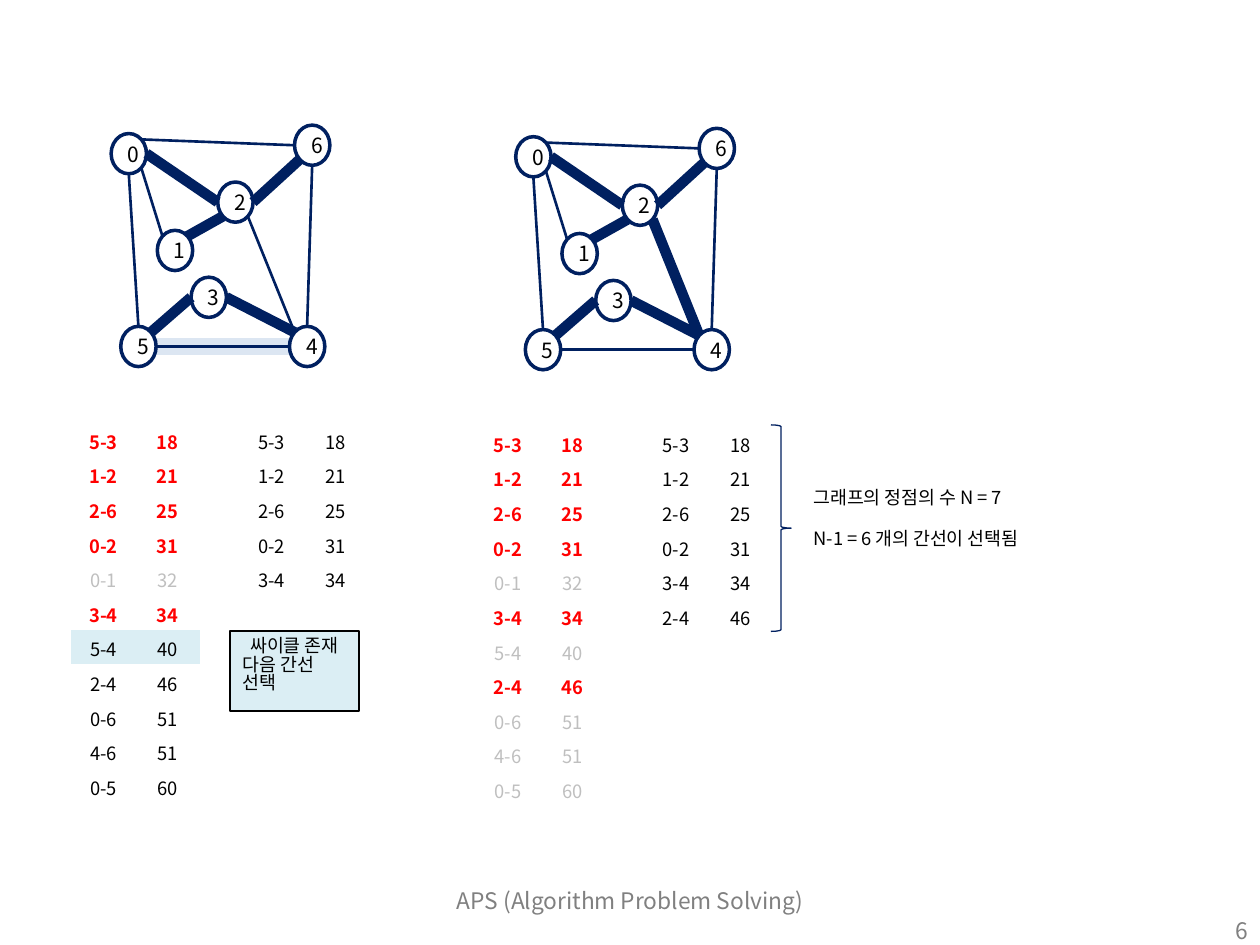
from math import cos, radians, sin

from lxml.etree import SubElement
from pptx import Presentation
from pptx.dml.color import RGBColor as Rgb
from pptx.enum.shapes import MSO_CONNECTOR as Connector, MSO_SHAPE as Shape
from pptx.enum.text import MSO_ANCHOR as Anchor, PP_ALIGN as Align
from pptx.oxml.ns import qn
from pptx.util import Pt

COLORS = {
    "ink": "000000", "navy": "002060", "white": "FFFFFF", "red": "FF0000",
    "spent": "BFBFBF", "footer": "808080", "pale": "DCE6F2", "focus": "DBEEF4",
}
FONT = "Noto Sans CJK KR"
PLAIN_TABLE = "{2D5ABB26-0587-4C30-8999-92F81FD0307C}"
NODE_W, NODE_H = 20.2, 23
ROW_H, COL_W = 19.8, 36.7
ANGLES = {"r": 0, "br": 45, "b": 90, "bl": 135, "l": 180, "tl": 225, "t": 270, "tr": 315}
NODES = {
    "5": (69, 186.5), "6": (168.3, 71.5), "4": (165.4, 186.5), "0": (63.5, 76.3),
    "1": (89.9, 131.6), "2": (124.4, 104), "3": (109.2, 158.4),
}
EDGES = {
    "0-1": ("br", "tl"), "0-2": ("r", "l"), "0-6": ("tr", "l"), "5-3": ("tr", "l"),
    "4-6": ("t", "b"), "0-5": ("b", "t"), "5-4": ("r", "l"), "3-4": ("r", "tl"),
    "1-2": ("tr", "bl"), "2-4": ("br", "tl"), "2-6": ("r", "bl"),
}
WEIGHTS = {
    "5-3": 18, "1-2": 21, "2-6": 25, "0-2": 31, "0-1": 32, "3-4": 34,
    "5-4": 40, "2-4": 46, "0-6": 51, "4-6": 51, "0-5": 60,
}
FIRST_CHOICES = ["5-3", "1-2", "2-6", "0-2", "3-4"]
ALL_CHOICES = FIRST_CHOICES + ["2-4"]


class KruskalSlide:
    """Draws graphs, edge lists and notes on one slide in a shared style."""

    def __init__(self, slide):
        self.slide = slide
        self.shapes = slide.shapes

    def color(self, name):
        return Rgb.from_string(COLORS[name])

    def add_words(self, paragraph, words, size=10.5, color="ink", bold=False, align=Align.CENTER):
        paragraph.alignment = align
        run = paragraph.add_run()
        run.text = words
        run.font.size = Pt(size)
        run.font.name = FONT
        run.font.bold = bold
        run.font.color.rgb = self.color(color)
        SubElement(run.font._element, qn("a:ea")).set("typeface", FONT)

    def text(self, box, words, size, color, align):
        label = self.shapes.add_textbox(*map(Pt, box)).text_frame
        label.word_wrap = True
        label.vertical_anchor = Anchor.MIDDLE
        self.add_words(label.paragraphs[0], words, size, color, align=align)

    def note(self, frame, lines, gap=0):
        frame.word_wrap = True
        frame.vertical_anchor = Anchor.TOP
        for index, (words, align) in enumerate(lines):
            paragraph = frame.add_paragraph() if index else frame.paragraphs[0]
            paragraph.line_spacing = 0.85
            paragraph.space_before = Pt(gap if index else 0)
            self.add_words(paragraph, words, align=align)

    def shape(self, kind, box, fill, line, width):
        outline = self.shapes.add_shape(kind, *map(Pt, box))
        outline.shadow.inherit = False
        if fill:
            outline.fill.solid()
            outline.fill.fore_color.rgb = self.color(fill)
        else:
            outline.fill.background()
        outline.line.color.rgb = self.color(line)
        outline.line.width = Pt(width)
        return outline

    def line(self, start, end, color, width):
        edge = self.shapes.add_connector(Connector.STRAIGHT, *map(Pt, (*start, *end)))
        edge.line.color.rgb = self.color(color)
        edge.line.width = Pt(width)
        SubElement(edge._element.spPr, qn("a:effectLst"))

    def node(self, name, left, top):
        frame = self.shape(Shape.OVAL, (left, top, NODE_W, NODE_H), "white", "navy", 2).text_frame
        frame.margin_left = Pt(5.4)
        frame.margin_right = frame.margin_top = frame.margin_bottom = 0
        frame.word_wrap = False
        frame.vertical_anchor = Anchor.MIDDLE
        self.add_words(frame.paragraphs[0], name, 12)

    def site(self, name, side, dx, dy):
        left, top = NODES[name]
        angle = radians(ANGLES[side])
        return (left + dx + NODE_W / 2 * (1 + cos(angle)),
                top + dy + NODE_H / 2 * (1 + sin(angle)))

    def edge(self, name, dx, dy, color, width):
        start, end = (self.site(node, side, dx, dy)
                      for node, side in zip(name.split("-"), EDGES[name]))
        self.line(start, end, color, width)

    def graph(self, chosen, dx=0, dy=0):
        for name, (left, top) in NODES.items():
            self.node(name, left + dx, top + dy)
        for name in EDGES:
            self.edge(name, dx, dy, "navy", 6 if name in chosen else 1.5)

    def table(self, left, top, names, rows, chosen=(), spent=(), focus=None):
        frame = self.shapes.add_table(rows, 2, *map(Pt, (left, top, 2 * COL_W, rows * ROW_H)))
        grid = frame.table
        grid.first_row = grid.horz_banding = False
        grid._tbl.tblPr.find(qn("a:tableStyleId")).text = PLAIN_TABLE
        for column in grid.columns:
            column.width = Pt(COL_W)
        for index, row in enumerate(grid.rows):
            row.height = Pt(ROW_H)
            name = names[index] if index < len(names) else ""
            color = "red" if name in chosen else "spent" if name in spent else "ink"
            for cell, words in zip(row.cells, (name, str(WEIGHTS.get(name, "")))):
                cell.margin_top, cell.margin_bottom = Pt(2), 0
                cell.vertical_anchor = Anchor.MIDDLE
                if name and name == focus:
                    cell.fill.solid()
                    cell.fill.fore_color.rgb = self.color("focus")
                else:
                    cell.fill.background()
                self.add_words(cell.text_frame.paragraphs[0], words,
                               color=color, bold=name in chosen)


def main():
    deck = Presentation()
    deck.slide_width, deck.slide_height = Pt(720), Pt(540)
    page = KruskalSlide(deck.slides.add_slide(deck.slide_layouts[6]))
    edges = list(WEIGHTS)
    dx, dy = 231.2, 1.8

    page.edge("5-4", 0, 0, "pale", 10)
    page.text((246, 500.4, 228, 28.8), "APS (Algorithm Problem Solving)", 13, "footer", Align.CENTER)
    page.text((552, 517, 168, 28.8), "6", 13, "footer", Align.RIGHT)
    page.graph(ALL_CHOICES, dx, dy)
    page.graph(FIRST_CHOICES)

    cycle = page.shape(Shape.RECTANGLE, (131.6, 360.8, 73.4, 45.4), "focus", "ink", 1)
    page.note(cycle.text_frame, [("싸이클 존재", Align.CENTER), ("다음 간선 선택", Align.LEFT)])

    page.table(136.8, 241.2, FIRST_CHOICES, 10)
    page.table(40.8, 241.2, edges, 11, FIRST_CHOICES, ["0-1"], "5-4")
    page.table(136.8 + dx, 241.2 + dy, ALL_CHOICES, 10)
    page.table(40.8 + dx, 241.2 + dy, edges, 11, ALL_CHOICES, edges)

    page.shape(Shape.RIGHT_BRACE, (440.6, 242.8, 11.5, 118), None, "navy", 0.75)
    summary = page.shapes.add_textbox(*map(Pt, (457.8, 276.5, 174, 45.4)))
    page.note(summary.text_frame, [("그래프의 정점의 수 N = 7", Align.LEFT),
                                   ("N-1 = 6 개의 간선이 선택됨", Align.LEFT)], 12.3)
    deck.save("out.pptx")


if __name__ == "__main__":
    main()
